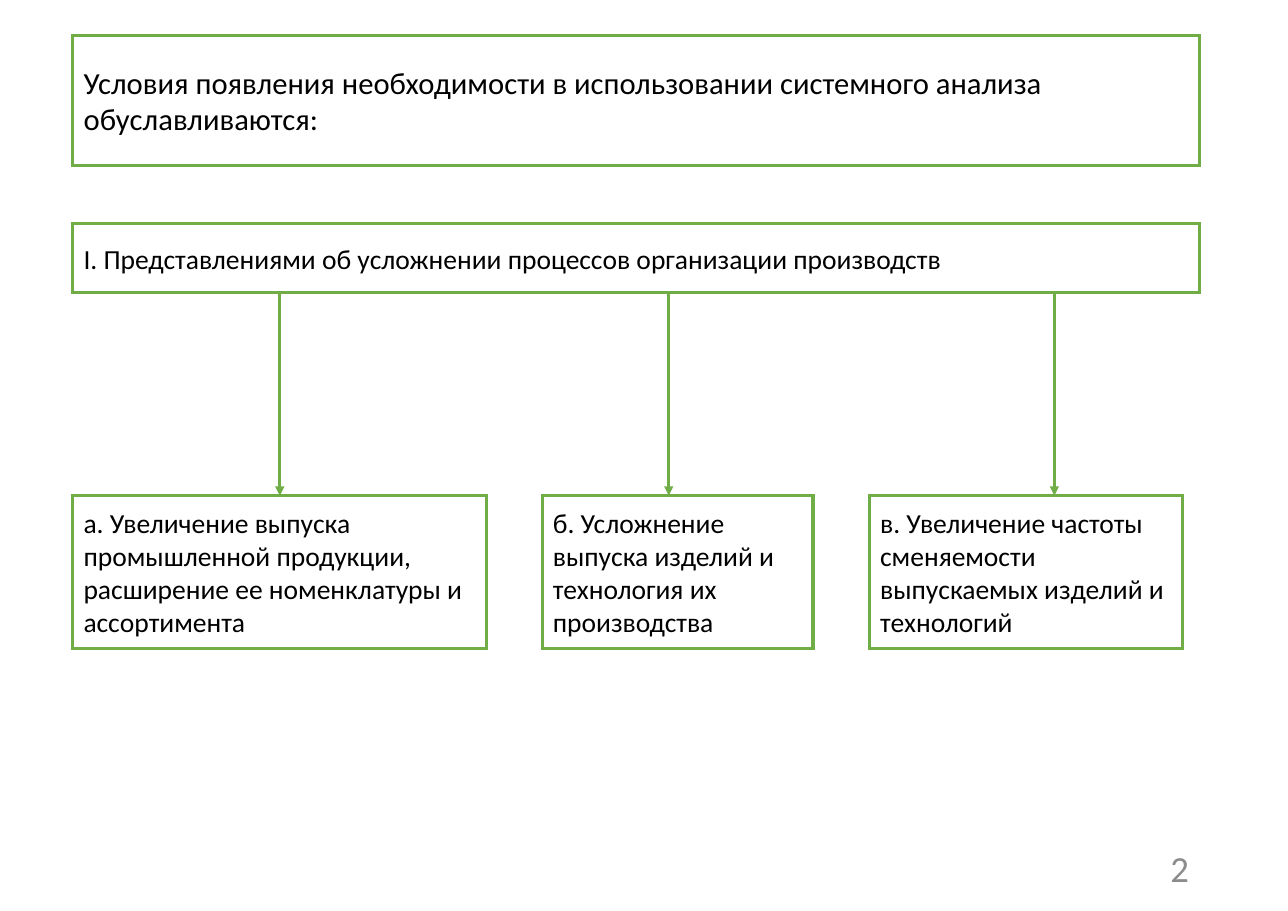
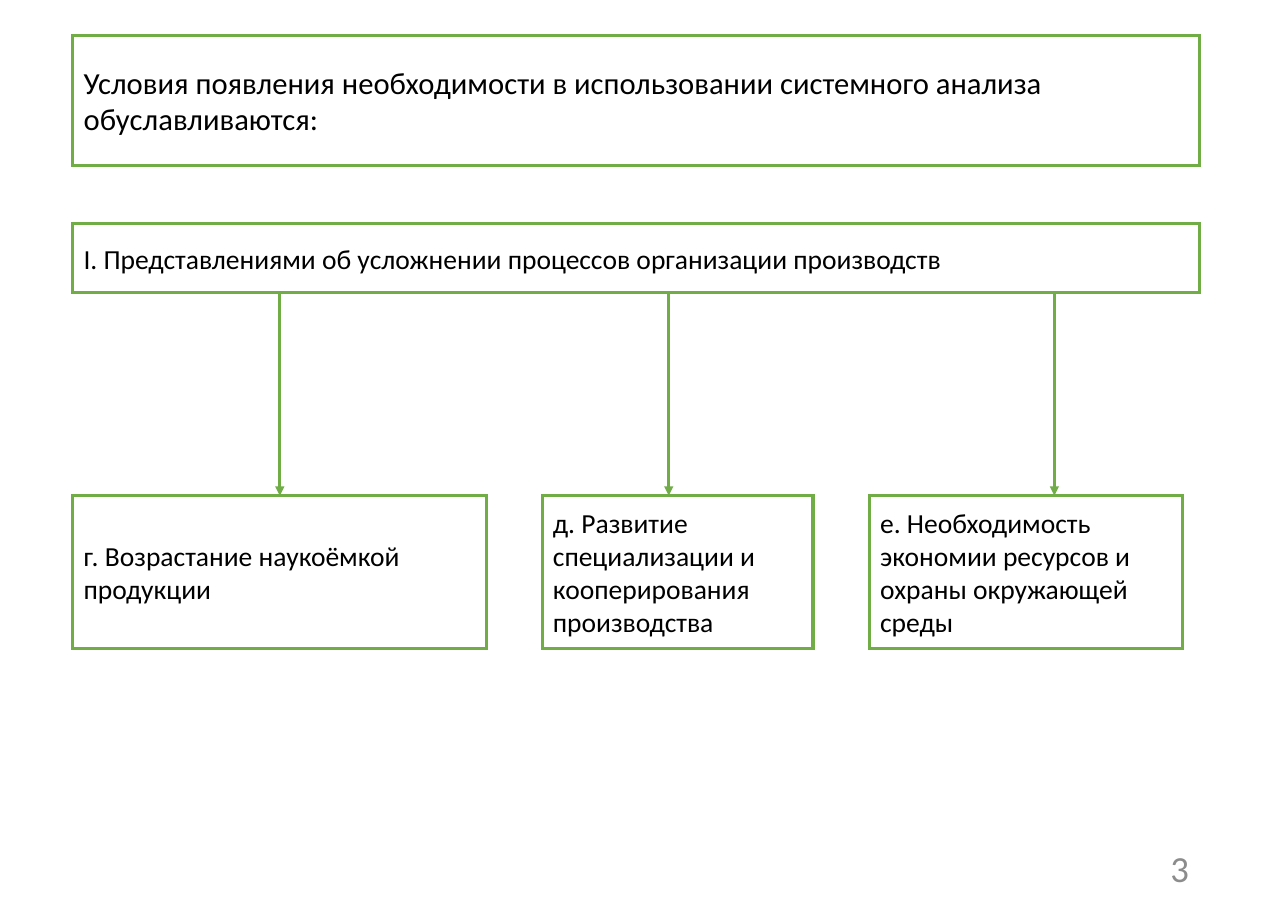
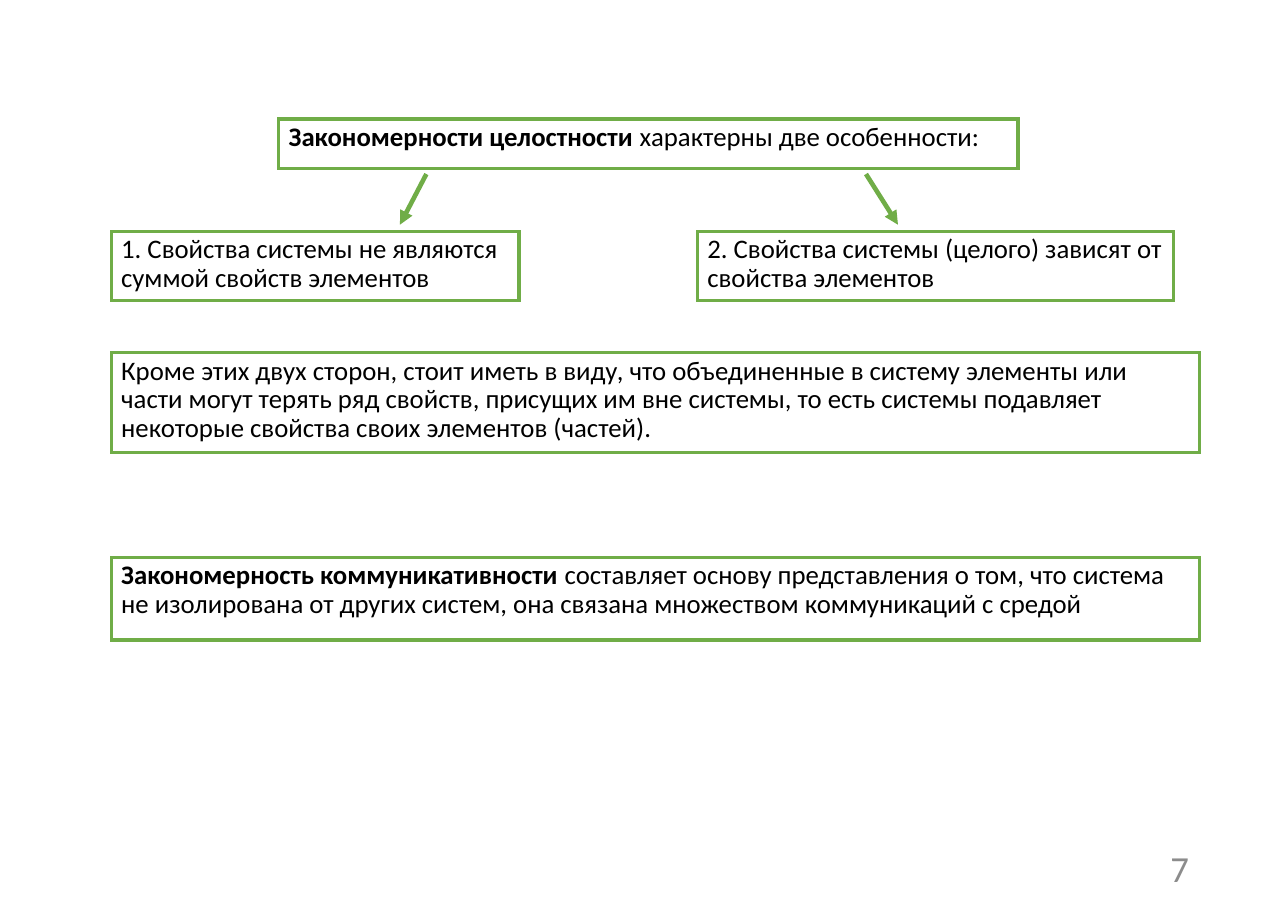
from dataclasses import dataclass

from lxml import etree
from pptx import Presentation, util as u
from pptx.dml.color import RGBColor
from pptx.enum import shapes as es, text as et
from pptx.oxml import ns

PX = 9144  # EMU per px, 100 px to the inch
FONT = "Calibri"
GREEN = RGBColor(0x70, 0xAD, 0x47)
WHITE = RGBColor(0xFF, 0xFF, 0xFF)
BLACK = RGBColor(0, 0, 0)
GREY = RGBColor(0x8C, 0x8C, 0x8C)

LEFT, TOP, CASE_H = 66, 450, 139
BAR_Y, BAR_H = 203, 63
WIDE = 1023
CASES = ((66, 376), (492, 246), (789, 284))
DROPS = (254, 607, 957)


@dataclass(frozen=True)
class Style:
    size: float
    pen: float
    anchor: et.MSO_ANCHOR = et.MSO_ANCHOR.MIDDLE
    pad: tuple[int, int] = (10, 5)
    gap: float = 1.0


@dataclass(frozen=True)
class Box:
    x: int
    y: int
    w: int
    h: int
    text: str
    style: Style
    lead: str = ""


@dataclass(frozen=True)
class Arrow:
    x1: int
    y1: int
    x2: int
    y2: int
    pen: float


HEAD = Style(20, 2)
ITEM = Style(18, 2)
NOTE = Style(17.5, 2.25, et.MSO_ANCHOR.TOP, (9, 4), 0.9)

TITLE = Box(LEFT, 32, WIDE, 118,
            "Условия появления необходимости в использовании системного "
            "анализа обуславливаются:", HEAD)
BAR = Box(LEFT, BAR_Y, WIDE, BAR_H,
          "I. Представлениями об усложнении процессов организации "
          "производств", ITEM)

TREES = (
    (2, ("a. Увеличение выпуска промышленной продукции, расширение ее "
         "номенклатуры и ассортимента",
         "б. Усложнение выпуска изделий и технология их производства",
         "в. Увеличение частоты сменяемости выпускаемых изделий и "
         "технологий")),
    (3, ("г. Возрастание наукоёмкой продукции",
         "д. Развитие специализации и кооперирования производства",
         "е. Необходимость экономии ресурсов и охраны окружающей среды")),
)

TRAIT = Box(253, 108, 671, 45, "характерны две особенности:", NOTE,
            "Закономерности целостности ")
NOTES = (
    Box(101, 210, 370, 63,
        "1. Свойства системы не являются суммой свойств элементов", NOTE),
    Box(633, 210, 432, 63,
        "2. Свойства системы (целого) зависят от свойства элементов", NOTE),
    Box(101, 320, 988, 91,
        "Кроме этих двух сторон, стоит иметь в виду, что объединенные в "
        "систему элементы или части могут терять ряд свойств, присущих им "
        "вне системы, то есть системы подавляет некоторые свойства своих "
        "элементов (частей).", NOTE),
    Box(101, 506, 988, 75,
        " составляет основу представления о том, что система не изолирована "
        "от других систем, она связана множеством коммуникаций с средой",
        NOTE, "Закономерность коммуникативности"),
)
FORKS = (Arrow(387, 158, 363, 204, 3), Arrow(786, 158, 815, 204, 3))


def ink(para, size: float, color: RGBColor) -> None:
    for run in para.runs:
        font = run.font
        font.name, font.size = FONT, u.Pt(size)
        font.color.rgb = color


def dress(shape, box: Box) -> None:
    """Place a shape or placeholder and give it the green frame and text."""
    look = box.style
    shape.left, shape.top = box.x * PX, box.y * PX
    shape.width, shape.height = box.w * PX, box.h * PX
    shape.shadow.inherit = False
    shape.fill.solid()
    shape.fill.fore_color.rgb = WHITE
    shape.line.color.rgb = GREEN
    shape.line.width = u.Pt(look.pen)
    edge = shape.line._get_or_add_ln()
    etree.SubElement(edge, ns.qn("a:miter"), lim="800000")

    frame = shape.text_frame
    frame.word_wrap = True
    frame.auto_size = et.MSO_AUTO_SIZE.NONE
    frame.vertical_anchor = look.anchor
    frame.margin_left = frame.margin_right = look.pad[0] * PX
    frame.margin_top = frame.margin_bottom = look.pad[1] * PX
    para = frame.paragraphs[0]
    para.text = box.lead or box.text
    if box.lead:
        para.runs[0].font.bold = True
        para.add_run().text = box.text
    para.alignment = et.PP_ALIGN.LEFT
    para.line_spacing = look.gap
    ink(para, look.size, BLACK)


def put(slide, box: Box):
    shape = slide.shapes.add_shape(es.MSO_SHAPE.RECTANGLE, 0, 0, PX, PX)
    dress(shape, box)
    return shape


def point(slide, arrow: Arrow):
    line = slide.shapes.add_connector(
        es.MSO_CONNECTOR.STRAIGHT, arrow.x1 * PX, arrow.y1 * PX,
        arrow.x2 * PX, arrow.y2 * PX)
    line.line.color.rgb = GREEN
    line.line.width = u.Pt(arrow.pen)
    edge = line.line._get_or_add_ln()
    etree.SubElement(edge, ns.qn("a:tailEnd"), type="triangle")
    etree.SubElement(line._element.spPr, ns.qn("a:effectLst"))
    return line


def start(deck, title: Box, page: int):
    """Add a slide with its framed title and page number."""
    slide = deck.slides.add_slide(deck.slide_layouts[5])
    dress(slide.shapes.title, title)
    label = slide.shapes.add_textbox(826 * PX, 766 * PX, 263 * PX, 44 * PX)
    frame = label.text_frame
    frame.word_wrap = True
    frame.vertical_anchor = et.MSO_ANCHOR.MIDDLE
    frame.text = str(page)
    para = frame.paragraphs[0]
    para.alignment = et.PP_ALIGN.RIGHT
    ink(para, 24, GREY)
    return slide


def tree(deck, page: int, texts: tuple[str, ...]) -> None:
    """Draw the bar with an arrow down to each of its cases."""
    slide = start(deck, TITLE, page)
    put(slide, BAR)
    for (x, w), drop, words in zip(CASES, DROPS, texts):
        case = put(slide, Box(x, TOP, w, CASE_H, words, ITEM))
        line = point(slide, Arrow(drop, BAR_Y + BAR_H, drop, TOP, 2))
        if drop == x + w // 2:
            line.end_connect(case, 0)


def traits(deck) -> None:
    slide = start(deck, TRAIT, 7)
    for box in NOTES:
        put(slide, box)
    for arrow in FORKS:
        point(slide, arrow)


def main() -> None:
    deck = Presentation()
    deck.slide_width, deck.slide_height = 1169 * PX, 827 * PX
    for page, texts in TREES:
        tree(deck, page, texts)
    traits(deck)
    deck.save("out.pptx")


if __name__ == "__main__":
    main()
